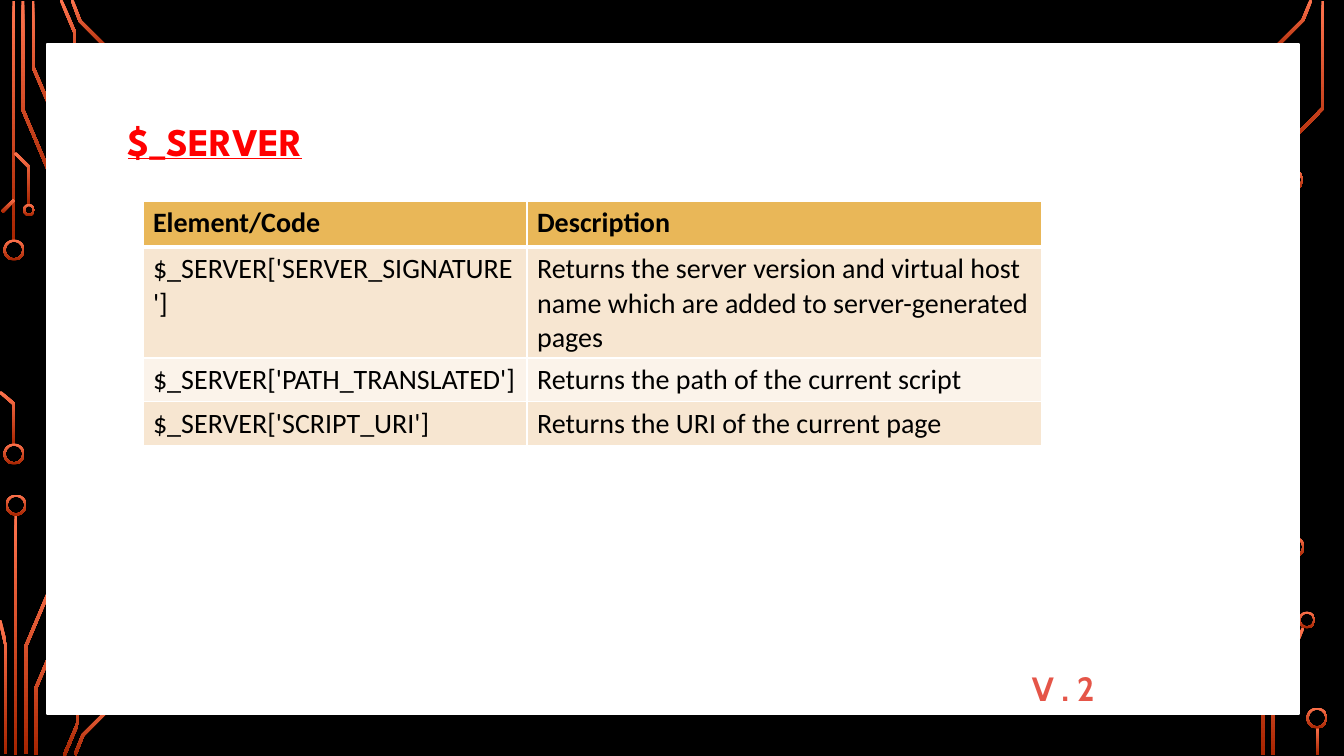
import math

import lxml.etree
import pptx
import pptx.dml.color
import pptx.enum.dml
import pptx.enum.shapes
import pptx.enum.text
import pptx.oxml.ns
import pptx.util

RGBColor = pptx.dml.color.RGBColor
BLACK = RGBColor(0x00, 0x00, 0x00)
WHITE = RGBColor(0xFF, 0xFF, 0xFF)
COPPER_LIGHT = RGBColor(0xFF, 0x74, 0x4E)
COPPER_DARK = RGBColor(0xA6, 0x24, 0x00)
RED = RGBColor(0xFF, 0x00, 0x00)
CORAL = RGBColor(0xE5, 0x55, 0x48)
GOLD = RGBColor(0xE9, 0xB7, 0x58)
SAND = RGBColor(0xF7, 0xE6, 0xD1)
CREAM = RGBColor(0xFB, 0xF3, 0xEA)

SLIDE_WIDTH, SLIDE_HEIGHT = 1344, 756
EMU_PER_PX = 12192000 / SLIDE_WIDTH
TRACE_WIDTH = 3
RING_WIDTH = 2

CIRCUIT_TRACES = [
    [(14, 1), (14, 242)],
    [(23, 1), (23, 110), (61, 200)],
    [(33, 1), (33, 67), (72, 158)],
    [(61, 0), (75, 33), (75, 101)],
    [(72, 0), (80, 21), (116, 57)],
    [(2, 212), (14, 200)],
    [(0, 392), (14, 404), (14, 445)],
    [(15, 153), (29, 167), (29, 205)],
    [(16, 514), (16, 755)],
    [(26, 754), (26, 646), (64, 556)],
    [(6, 754), (6, 646), (0, 620)],
    [(36, 755), (36, 688), (74, 598)],
    [(64, 756), (78, 723), (78, 655)],
    [(75, 755), (83, 735), (119, 699)],
    [(1267, 56), (1303, 20), (1311, 0)],
    [(1273, 755), (1273, 699), (1303, 628)],
    [(1323, 1), (1323, 108), (1292, 140), (1292, 170)],
    [(1263, 755), (1263, 618), (1294, 588), (1294, 556)],
    [(1318, 727), (1318, 755)],
]
CIRCUIT_RINGS = [
    (14, 250, 21), (14, 454, 21), (29, 210, 12), (16, 505, 21),
    (1293, 180, 21), (1307, 620, 17), (1294, 547, 21), (1317, 718, 21),
]
SERVER_ELEMENTS = [
    ("Element/Code", "Description"),
    ("$_SERVER['SERVER_SIGNATURE']",
     "Returns the server version and virtual host name which are added to server-generated pages"),
    ("$_SERVER['PATH_TRANSLATED']", "Returns the path of the current script"),
    ("$_SERVER['SCRIPT_URI']", "Returns the URI of the current page"),
]


def px(length):
    return pptx.util.Emu(round(length * EMU_PER_PX))


def side_of(points, offset):
    normals = []
    for (x1, y1), (x2, y2) in zip(points, points[1:]):
        length = math.hypot(x2 - x1, y2 - y1)
        normals.append(((y1 - y2) / length, (x2 - x1) / length))
    befores, afters = normals[:1] + normals, normals + normals[-1:]
    side = []
    for (x, y), (ax, ay), (bx, by) in zip(points, befores, afters):
        reach = offset / (1 + ax * bx + ay * by)
        side.append((px(x + (ax + bx) * reach), px(y + (ay + by) * reach)))
    return side


class SlideBuilder:
    def __init__(self, slide, background):
        self.slide = slide
        self.shapes = slide.shapes
        slide.background.fill.solid()
        slide.background.fill.fore_color.rgb = background

    def copper(self, shape):
        shape.shadow.inherit = False
        shape.line.fill.background()
        shape.fill.gradient()
        shape.fill.gradient_angle = 270
        for stop, color in zip(shape.fill.gradient_stops, (COPPER_LIGHT, COPPER_DARK)):
            stop.color.rgb = color

    def trace(self, points):
        half = TRACE_WIDTH / 2
        outline = side_of(points, half) + side_of(points, -half)[::-1]
        builder = self.shapes.build_freeform(*outline[0], scale=1.0)
        builder.add_line_segments(outline[1:], close=True)
        self.copper(builder.convert_to_shape())

    def ring(self, center_x, center_y, diameter):
        ring = self.shapes.add_shape(
            pptx.enum.shapes.MSO_SHAPE.DONUT,
            px(center_x - diameter / 2), px(center_y - diameter / 2),
            px(diameter), px(diameter))
        ring.adjustments[0] = RING_WIDTH / diameter
        self.copper(ring)

    def card(self, left, top, width, height):
        card = self.shapes.add_shape(
            pptx.enum.shapes.MSO_SHAPE.RECTANGLE, px(left), px(top), px(width), px(height))
        card.shadow.inherit = False
        card.fill.solid()
        card.fill.fore_color.rgb = WHITE
        card.line.color.rgb = WHITE
        card.line.width = pptx.util.Pt(1.25)

    def set_text(self, frame, text, family, size, color, bold, underline=None):
        paragraph = frame.paragraphs[0]
        paragraph.text = text
        font = paragraph.font
        font.name, font.size, font.bold = family, pptx.util.Pt(size), bold
        font.underline = underline
        font.color.rgb = color

    def text(self, left, top, width, height, text, family, size, color, underline=None):
        box = self.shapes.add_textbox(px(left), px(top), px(width), px(height))
        box.text_frame.word_wrap = True
        box.text_frame.auto_size = pptx.enum.text.MSO_AUTO_SIZE.SHAPE_TO_FIT_TEXT
        self.set_text(box.text_frame, text, family, size, color, True, underline)

    def border(self, cell, side, points):
        properties = cell._tc.get_or_add_tcPr()
        line = lxml.etree.SubElement(
            properties, pptx.oxml.ns.qn("a:ln" + side), w=str(pptx.util.Pt(points)))
        fill = lxml.etree.SubElement(line, pptx.oxml.ns.qn("a:solidFill"))
        lxml.etree.SubElement(fill, pptx.oxml.ns.qn("a:srgbClr"), val=str(WHITE))

    def table(self, left, top, widths, heights, rows, fills):
        table = self.shapes.add_table(
            len(rows), len(widths), px(left), px(top), px(sum(widths)), px(sum(heights))).table
        table.first_row = table.horz_banding = False
        for column, width in zip(table.columns, widths):
            column.width = px(width)
        for index, (row, height, fill) in enumerate(zip(table.rows, heights, fills)):
            row.height = px(height)
            for cell, text in zip(row.cells, rows[index]):
                self.set_text(cell.text_frame, text, "Calibri", 20, BLACK, index == 0)
                for side in "LRTB":
                    below_header = (index, side) in ((0, "B"), (1, "T"))
                    self.border(cell, side, 3 if below_header else 1)
                cell.fill.solid()
                cell.fill.fore_color.rgb = fill


def main():
    presentation = pptx.Presentation()
    presentation.slide_width = px(SLIDE_WIDTH)
    presentation.slide_height = px(SLIDE_HEIGHT)
    builder = SlideBuilder(
        presentation.slides.add_slide(presentation.slide_layouts[6]), BLACK)
    for points in CIRCUIT_TRACES:
        builder.trace(points)
    for ring in CIRCUIT_RINGS:
        builder.ring(*ring)
    builder.card(47, 44, 1252, 670)
    builder.text(118, 112, 837, 57, "$_SERVER", "League Spartan", 28, RED, True)
    builder.text(1022, 663, 227, 50, "V . 2", "Cabin", 24, CORAL)
    builder.table(143, 201, [384, 515], [46, 111, 43, 43],
                  SERVER_ELEMENTS, [GOLD, SAND, CREAM, SAND])
    presentation.save("out.pptx")


if __name__ == "__main__":
    main()
